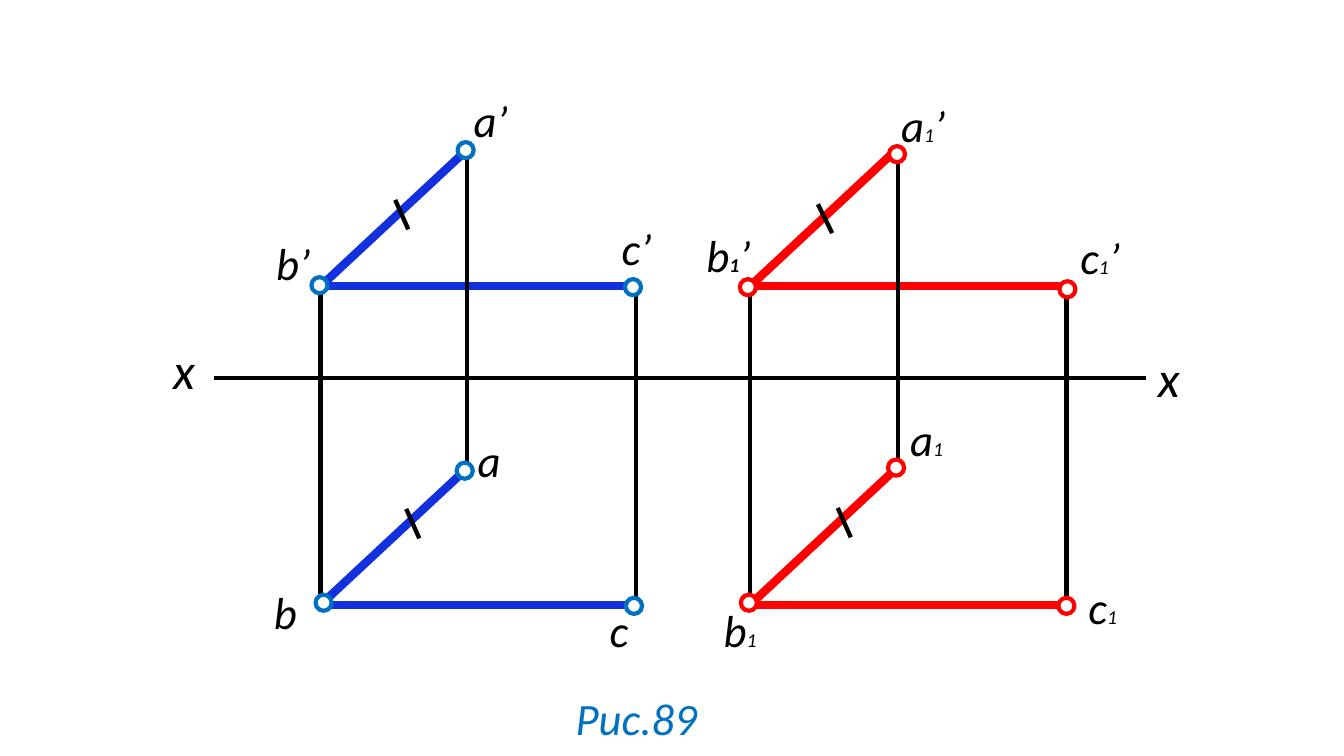
"""Draw figure 89: two pairs of projected angles on a common axis."""
from dataclasses import dataclass

import pptx
import pptx.dml.color
import pptx.enum.shapes
import pptx.enum.text
import pptx.oxml.ns
import pptx.util
from lxml import etree

Pt = pptx.util.Pt


@dataclass(frozen=True)
class Theme:
    """Colours, font, type sizes and line widths of the figure."""
    font: str = "Calibri"
    ink: str = "000000"
    paper: str = "FFFFFF"
    blue: str = "1330DD"
    ring_blue: str = "0070C0"
    red: str = "FF0000"
    axis_size: int = 36
    label_size: int = 32
    index_size: int = 14
    thin: int = 3
    thick: int = 6
    ring: float = 11.5


THEME = Theme()
TITLE_ONLY = 5
UPPER_A, UPPER_B, LOWER_A, LOWER_B = 105.8, 204.5, 333.4, 432
ANGLES = ((UPPER_A, UPPER_B), (LOWER_A, LOWER_B))

LEFT_FIGURE = {
    "bar": THEME.blue, "ring": THEME.ring_blue, "corners": (229, 334.8, 455.8),
    "verticals": ((229, 200.9, 430.6), (333.4, 105.8, 332.6), (454.3, 204.5, 431.3)),
    "rings": ((326.9, 101.5), (222.5, 198), (446.4, 199.4),
              (326.2, 330.5), (225.4, 424.8), (447.1, 427)),
    "ticks": ((274.3, 126, 336), (282.2, 346.3, 336)),
    "labels": (("a’", 331.2, 62.6), ("b’", 190.1, 164.9), ("с’", 437, 154.1),
               ("а", 334.1, 305.3), ("b", 188.6, 414), ("с", 428.4, 427)),
}
RIGHT_FIGURE = {
    "bar": THEME.red, "ring": THEME.red, "corners": (535.7, 641.5, 762.5),
    "verticals": ((535.7, 200.2, 431.3), (641.5, 105.8, 337), (761.8, 204.5, 435.6)),
    "rings": ((635, 104.4), (528.5, 199.4), (756.7, 200.9),
              (634.3, 328.3), (529.2, 424.8), (756, 427)),
    "ticks": ((576.7, 128.9, 333.8), (590.4, 345.6, 336)),
    "labels": (("a1’", 636.5, 66.2), ("b1’", 497.5, 159.1), ("с1’", 764.6, 160.6),
               ("а1", 643, 290.2), ("b1", 509.8, 427), ("с1", 770.4, 410.4)),
}


def rgb(color):
    """Turn a hex string into a colour."""
    return pptx.dml.color.RGBColor.from_string(color)


def write(box, text, *, size=THEME.label_size, color=THEME.ink, italic=True,
          wrap=True, index="", bold_index=False):
    """Fill a box with one line of text, setting its index in small type."""
    frame = box.text_frame
    frame.word_wrap = wrap
    frame.auto_size = pptx.enum.text.MSO_AUTO_SIZE.NONE
    frame.vertical_anchor = pptx.enum.text.MSO_ANCHOR.TOP
    para = frame.paragraphs[0]
    para.alignment = pptx.enum.text.PP_ALIGN.LEFT
    for part in filter(None, text.partition(index) if index else (text,)):
        is_index = part == index
        span = para.add_run()
        span.text = part
        span.font.name = THEME.font
        span.font.size = Pt(THEME.index_size if is_index else size)
        span.font.italic = italic
        span.font.bold = is_index and bold_index
        span.font.color.rgb = rgb(color)


def add_text(page, text, left, top, width, height, *, rotation=0, **style):
    """Place a text box."""
    box = page.shapes.add_textbox(Pt(left), Pt(top), Pt(width), Pt(height))
    box.rotation = rotation
    write(box, text, **style)


def add_line(page, start, end, color=THEME.ink, width=THEME.thin):
    """Draw a straight line without a shadow."""
    line = page.shapes.add_connector(
        pptx.enum.shapes.MSO_CONNECTOR.STRAIGHT, *map(Pt, (*start, *end)))
    line.line.color.rgb = rgb(color)
    line.line.width = Pt(width)
    etree.SubElement(line._element.spPr, pptx.oxml.ns.qn("a:effectLst"))


def add_ring(page, left, top, color):
    """Draw the small circle that marks a point."""
    ring = page.shapes.add_shape(
        pptx.enum.shapes.MSO_SHAPE.OVAL, Pt(left), Pt(top), Pt(THEME.ring), Pt(THEME.ring))
    ring.shadow.inherit = False
    ring.fill.solid()
    ring.fill.fore_color.rgb = rgb(THEME.paper)
    ring.line.color.rgb = rgb(color)
    ring.line.width = Pt(THEME.thin)


def add_figure(page, figure):
    """Draw the two projections of an angle with their points and labels."""
    b_x, a_x, c_x = figure["corners"]
    for a_y, b_y in ANGLES:
        for end in ((a_x, a_y), (c_x, b_y)):
            add_line(page, end, (b_x, b_y), figure["bar"], THEME.thick)
    for x, top, bottom in figure["verticals"]:
        add_line(page, (x, bottom), (x, top))
    for left, top, rotation in figure["ticks"]:
        add_text(page, "I", left, top, 23.8, 51, rotation=rotation,
                 size=THEME.axis_size, italic=False, wrap=False)
    for text, left, top in figure["labels"]:
        add_text(page, text, left, top, 60, 46, index="1", bold_index=text == "b1’")
    for left, top in figure["rings"]:
        add_ring(page, left, top, figure["ring"])


def add_caption(page, text):
    """Move and format the title placeholder as the figure caption."""
    caption = page.shapes.title
    caption.left, caption.top, caption.width, caption.height = map(Pt, (403.9, 489.6, 138, 46))
    write(caption, text, color=THEME.ring_blue)


def main():
    """Build and save the slide."""
    deck = pptx.Presentation()
    deck.slide_width, deck.slide_height = Pt(960), Pt(540)
    page = deck.slides.add_slide(deck.slide_layouts[TITLE_ONLY])
    add_caption(page, "Рис.89")
    add_line(page, (152.6, 270), (818.6, 270))
    for left, top in ((116.6, 239), (820.1, 244.1)):
        add_text(page, "x", left, top, 28, 51, size=THEME.axis_size, wrap=False)
    for figure in (LEFT_FIGURE, RIGHT_FIGURE):
        add_figure(page, figure)
    deck.save("out.pptx")


if __name__ == "__main__":
    main()
